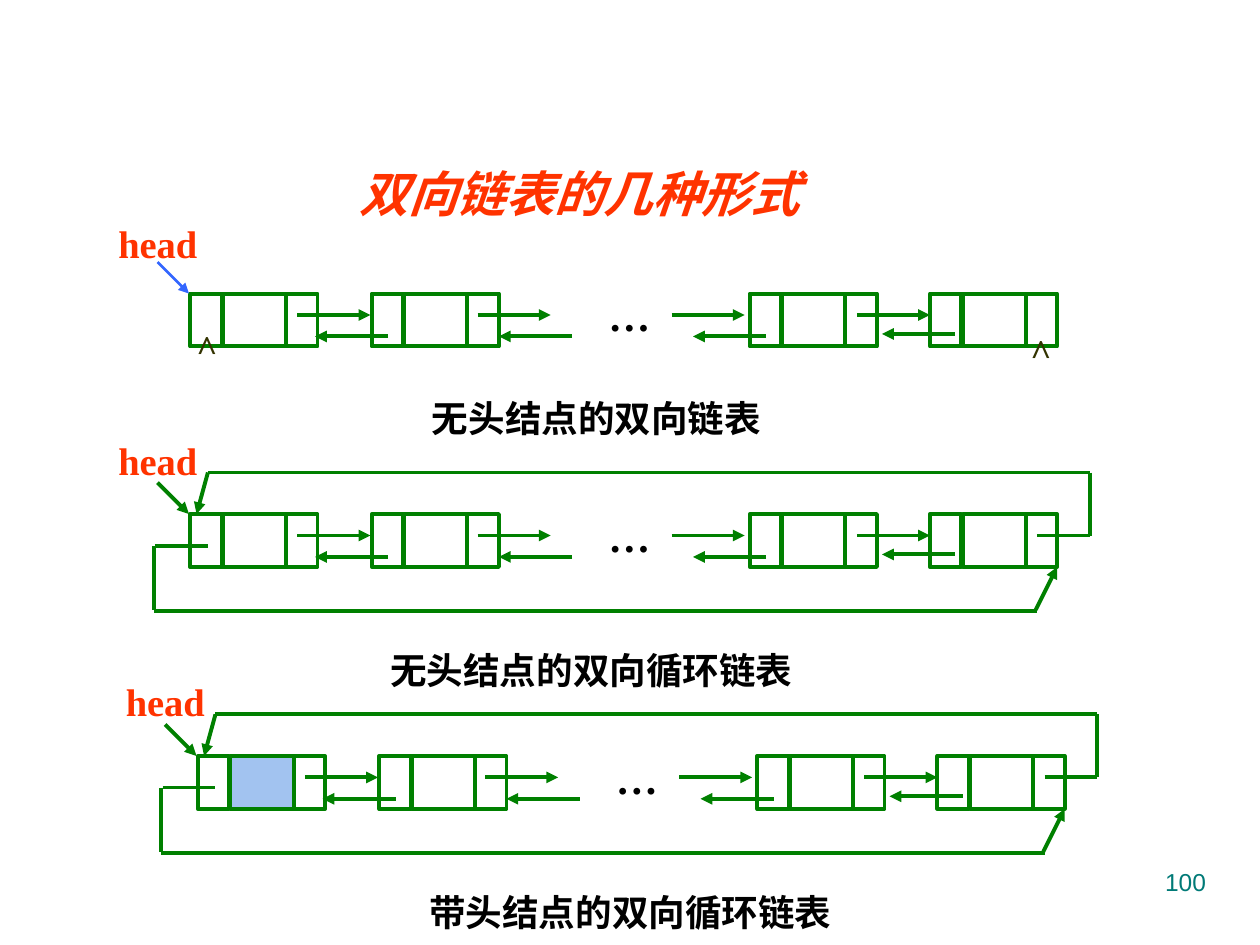
from lxml.etree import SubElement
from pptx import Presentation
from pptx.dml.color import RGBColor
from pptx.enum.shapes import MSO_CONNECTOR, MSO_SHAPE
from pptx.enum.text import MSO_ANCHOR, MSO_AUTO_SIZE, PP_ALIGN
from pptx.oxml.ns import qn
from pptx.util import Inches, Pt

GREEN = RGBColor(0x00, 0x80, 0x00)
BLUE = RGBColor(0x33, 0x66, 0xFF)
RED = RGBColor(0xFF, 0x33, 0x00)
BLACK = RGBColor(0x00, 0x00, 0x00)
OLIVE = RGBColor(0x33, 0x33, 0x00)
TEAL = RGBColor(0x00, 0x7A, 0x77)
HEADER_FILL = RGBColor(0xA2, 0xC3, 0xF0)

NODE_LEFTS = (1.51, 2.95, 5.95, 7.38)
NODE_HEIGHT = 0.42
CELLS = ((0.26, 0.5), (0.76, 0.25), (0, 0.25))
NEXT_STARTS = (2.36, 3.79, 5.33, 6.8)
PRIOR_STARTS = ((3.08, 0.34), (4.54, 0.34), (6.08, 0.34), (7.58, 0.32))
LINK_LENGTH = 0.58


class LinkedListSlide:
    """Draws doubly linked lists on one slide in a shared style."""

    def __init__(self, slide):
        self.slide = slide

    def format_text(self, frame, text, size, color, bold=True, italic=False,
                    font="Times New Roman", align=PP_ALIGN.LEFT, baseline=None):
        frame.auto_size = MSO_AUTO_SIZE.NONE
        frame.vertical_anchor = MSO_ANCHOR.TOP
        frame.text = text
        paragraph = frame.paragraphs[0]
        paragraph.alignment = align
        paragraph.font.name = font
        paragraph.font.size = Pt(size)
        paragraph.font.bold = bold
        paragraph.font.italic = italic
        paragraph.font.color.rgb = color
        if baseline:
            run_properties = paragraph.runs[0]._r.get_or_add_rPr()
            run_properties.set("baseline", str(baseline * 1000))

    def title(self, text, left, top, width, height):
        heading = self.slide.shapes.title
        heading.left, heading.top = Inches(left), Inches(top)
        heading.width, heading.height = Inches(width), Inches(height)
        heading.text_frame.word_wrap = True
        self.format_text(heading.text_frame, text, 28, RED, italic=True)

    def label(self, text, left, top, width, height, size, color, wrap=False, **style):
        box = self.slide.shapes.add_textbox(
            Inches(left), Inches(top), Inches(width), Inches(height))
        box.text_frame.word_wrap = wrap
        self.format_text(box.text_frame, text, size, color, **style)

    def caption(self, text, left, top):
        self.label(text, left, top, 3.89, 0.71, 36, BLACK, wrap=True, baseline=-10)

    def null_mark(self, left, top):
        self.label("^", left, top, 0.37, 0.71, 36, OLIVE, baseline=-10)

    def line(self, x1, y1, x2, y2, arrow=False, color=GREEN, weight=2.25):
        link = self.slide.shapes.add_connector(
            MSO_CONNECTOR.STRAIGHT, Inches(x1), Inches(y1), Inches(x2), Inches(y2))
        link.line.color.rgb = color
        link.line.width = Pt(weight)
        if arrow:
            SubElement(link.line._get_or_add_ln(), qn("a:tailEnd"), type="triangle")
        SubElement(link._element.spPr, qn("a:effectLst"))

    def cell(self, left, top, width, fill=None):
        box = self.slide.shapes.add_shape(
            MSO_SHAPE.RECTANGLE, Inches(left), Inches(top),
            Inches(width), Inches(NODE_HEIGHT))
        box.shadow.inherit = False
        box.line.color.rgb = GREEN
        box.line.width = Pt(2.25)
        if fill is None:
            box.fill.background()
        else:
            box.fill.solid()
            box.fill.fore_color.rgb = fill

    def node(self, left, top, data_fill=None):
        for offset, width in CELLS:
            self.cell(left + offset, top, width, data_fill if width == 0.5 else None)

    def linked_list(self, shift, top, head_top, header_fill=None,
                    head_color=GREEN, head_weight=2.25):
        for start in NEXT_STARTS:
            x = start + shift
            self.line(x, top + 0.17, x + LINK_LENGTH, top + 0.17, arrow=True)
        for index, left in enumerate(NODE_LEFTS):
            self.node(left + shift, top, header_fill if index == 0 else None)
        for start, drop in PRIOR_STARTS:
            x = start + shift
            self.line(x, top + drop, x - LINK_LENGTH, top + drop, arrow=True)
        self.label("…", 4.73 + shift, top - 0.08, 0.53, 0.5, 24, BLACK)
        self.label("head", 0.84 + shift, head_top, 0.82, 0.47, 22, RED)
        self.line(1.25 + shift, top - 0.25, 1.5 + shift, top,
                  arrow=True, color=head_color, weight=head_weight)

    def ring(self, shift, top):
        segments = (
            (8.23, 0.17, 8.65, 0.17, False),
            (1.65, -0.33, 8.65, -0.33, False),
            (8.65, -0.33, 8.65, 0.17, False),
            (1.65, -0.33, 1.56, 0, True),
            (1.23, 0.25, 1.65, 0.25, False),
            (1.22, 0.77, 8.23, 0.77, False),
            (1.22, 0.25, 1.22, 0.76, False),
            (8.22, 0.76, 8.39, NODE_HEIGHT, True),
        )
        for x1, y1, x2, y2, arrow in segments:
            self.line(x1 + shift, top + y1, x2 + shift, top + y2, arrow)


def main():
    deck = Presentation()
    deck.slide_width, deck.slide_height = Inches(10), Inches(7.5)
    page = LinkedListSlide(deck.slides.add_slide(deck.slide_layouts[5]))

    page.title("双向链表的几种形式", 2.75, 1.25, 3.83, 0.57)

    page.linked_list(0, 2.33, 1.7, head_color=BLUE, head_weight=1.5)
    page.null_mark(1.46, 2.27)
    page.null_mark(8.08, 2.3)
    page.caption("无头结点的双向链表", 3.33, 2.83)

    page.linked_list(0, 4.08, 3.42)
    page.ring(0, 4.08)
    page.caption("无头结点的双向循环链表", 3, 4.83)

    page.linked_list(0.06, 6, 5.33, header_fill=HEADER_FILL)
    page.ring(0.06, 6)
    page.caption("带头结点的双向循环链表", 3.31, 6.75)

    page.label("100", 7.17, 6.83, 2.5, 0.52, 14, TEAL, wrap=True,
               bold=False, font="Arial", align=PP_ALIGN.RIGHT)
    deck.save("out.pptx")


if __name__ == "__main__":
    main()
